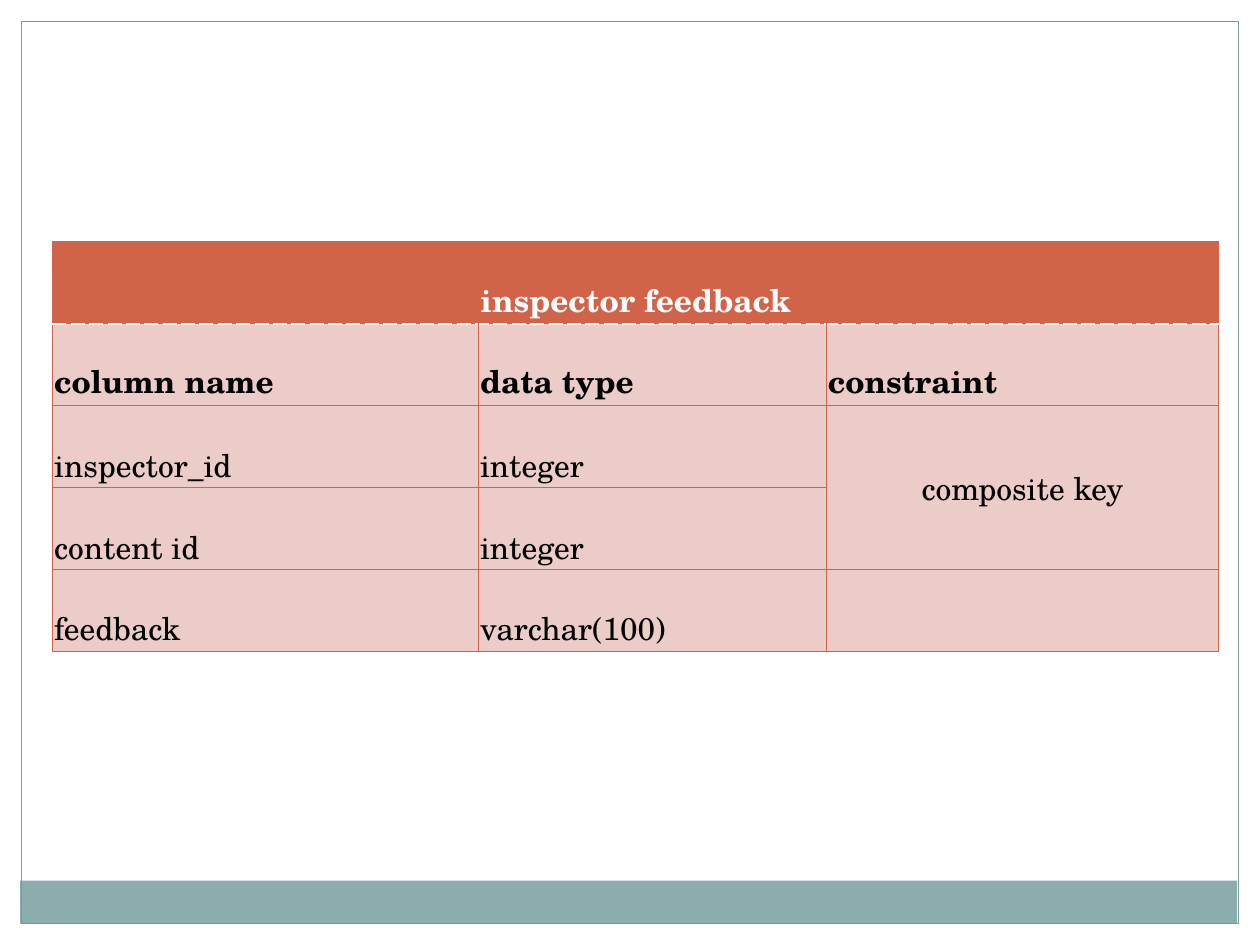
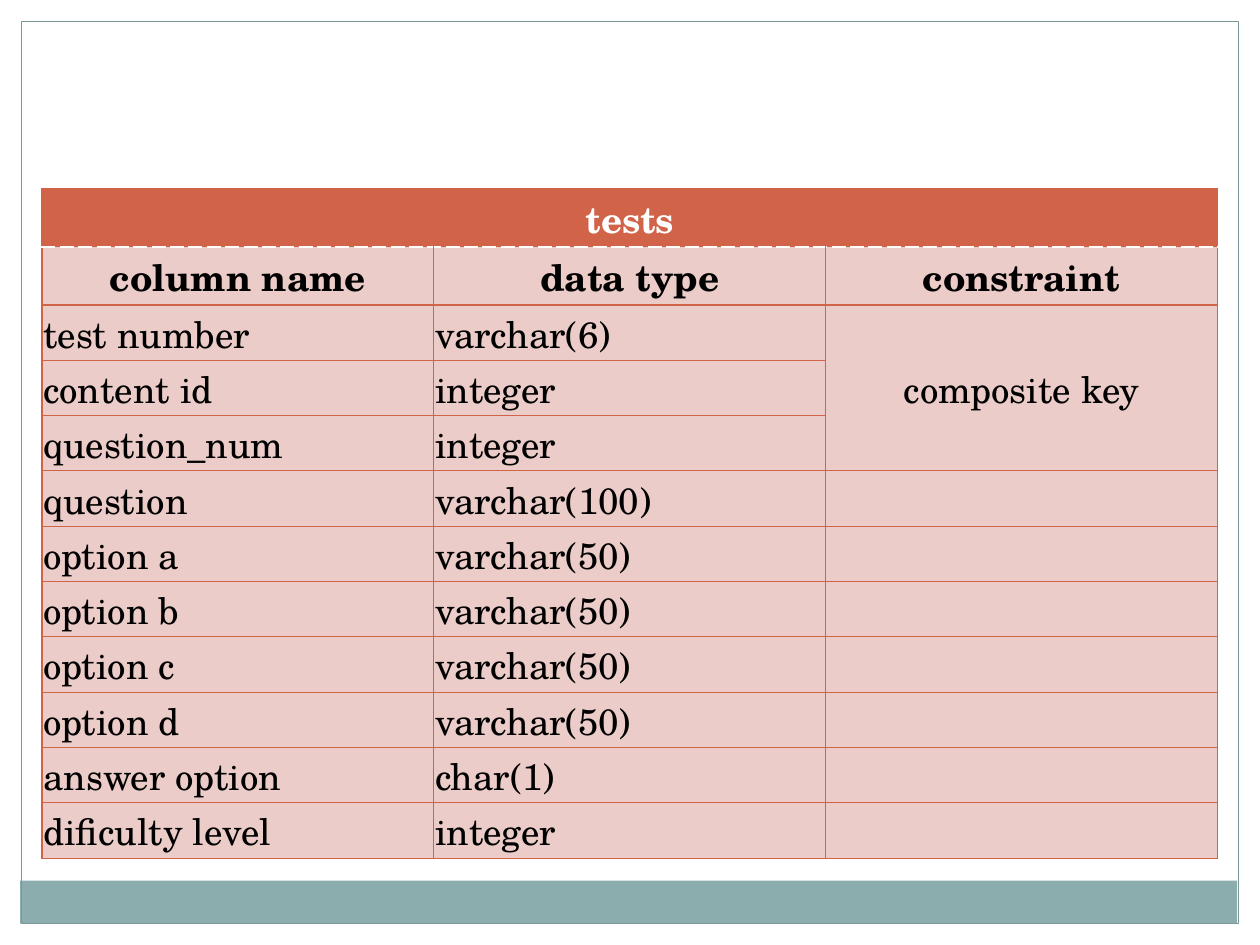
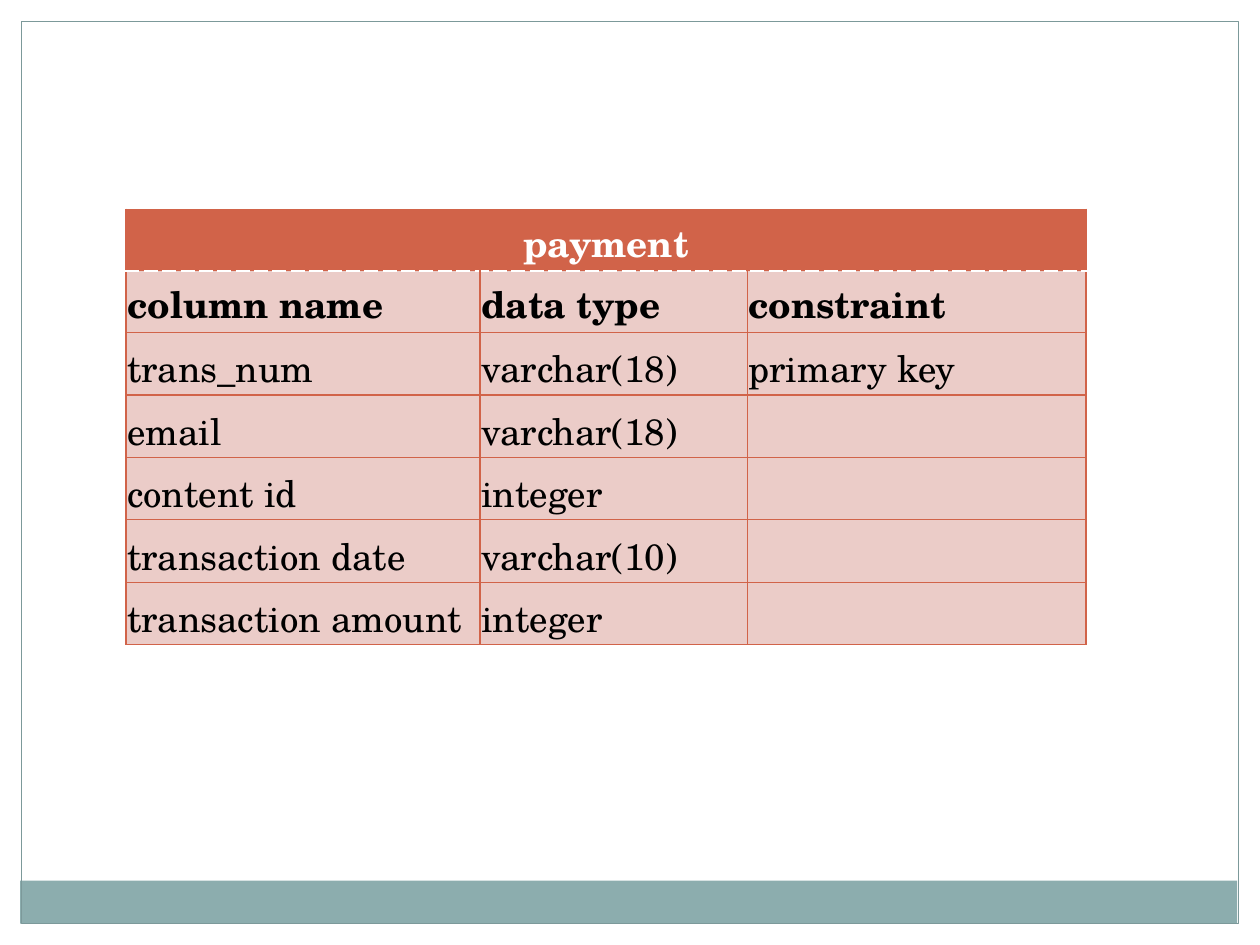
"""Build three slides that describe database tables: feedback, tests and payment."""
from lxml.etree import SubElement as Sub
from pptx import Presentation
from pptx.dml.color import RGBColor
from pptx.enum.shapes import MSO_SHAPE as Shape
from pptx.enum.text import MSO_ANCHOR as Anchor, PP_ALIGN as Align
from pptx.oxml.ns import qn
from pptx.util import Inches, Pt

FONT = "TeX Gyre Schola"
RED, PINK, WHITE, BLACK = "D16349", "EBCCC8", "FFFFFF", "000000"
TEAL, EDGE = "8CADAE", "7C999A"
HEADS = ("column name", "data type", "constraint")
PADS = {"margin_left": Inches(0.01), "margin_right": Inches(0.01),
        "margin_top": Inches(0.01), "margin_bottom": 0}
SOLID = (RED, 0.75, "solid")
DASH = (WHITE, 0.9, "sysDash")
BANDS = [
    ((0, 0, 10, 0.17), WHITE, None),
    ((9.83, 0, 0.17, 7.5), WHITE, None),
    ((0, 0, 0.17, 7.5), WHITE, None),
    ((0.16, 6.99, 9.66, 0.34), TEAL, None),
    ((0.17, 0.17, 9.66, 7.16), None, EDGE),
]

TABLES = [
    {"name": "inspector feedback", "at": (0.42, 1.92), "cols": (3.38, 2.76, 3.11),
     "tall": 3.25, "head": 0.65, "size": 18, "align": Align.LEFT, "key": 2,
     "rows": [("inspector_id", "integer", "composite key"),
              ("content id", "integer"),
              ("feedback", "varchar(100)")]},
    {"name": "tests", "at": (1 / 3, 1.5), "cols": (3.11, 3.11, 3.11),
     "tall": 5.31, "head": 0.46, "size": 21, "align": Align.CENTER, "key": 3,
     "rows": [("test number", "varchar(6)", "composite key"),
              ("content id", "integer"),
              ("question_num", "integer"),
              ("question", "varchar(100)"),
              ("option a", "varchar(50)"),
              ("option b", "varchar(50)"),
              ("option c", "varchar(50)"),
              ("option d", "varchar(50)"),
              ("answer option", "char(1)"),
              ("dificulty level", "integer")]},
    {"name": "payment", "at": (1, 1.66), "cols": (2.81, 2.12, 2.69),
     "tall": 3.46, "head": 0.49, "size": 21, "align": Align.LEFT, "key": 1,
     "rows": [("trans_num", "varchar(18)", "primary key"),
              ("email", "varchar(18)"),
              ("content id", "integer"),
              ("transaction date", "varchar(10)"),
              ("transaction amount", "integer")]},
]


def paint(fill, color):
    fill.solid()
    fill.fore_color.rgb = RGBColor.from_string(color)


def add_box(slide, at, fill, line):
    box = slide.shapes.add_shape(Shape.RECTANGLE, *map(Inches, at))
    box.shadow.inherit = False
    for part, color in ((box.fill, fill), (box.line.fill, line)):
        if color:
            paint(part, color)
        else:
            part.background()
    if line:
        box.line.width = Pt(0.75)


def add_edge(cell, side, color, width, dash):
    line = Sub(cell._tc.get_or_add_tcPr(), qn("a:ln" + side), w=str(Pt(width)))
    Sub(Sub(line, qn("a:solidFill")), qn("a:srgbClr"), val=color)
    Sub(line, qn("a:prstDash"), val=dash)


def style_cell(cell, row):
    edges = {"L": SOLID, "R": SOLID,
             "T": DASH if row == 1 else SOLID,
             "B": DASH if row == 0 else SOLID}
    for side, edge in edges.items():
        add_edge(cell, side, *edge)
    paint(cell.fill, PINK if row else RED)
    cell.vertical_anchor = Anchor.BOTTOM
    for name, value in PADS.items():
        setattr(cell, name, value)


def write(cell, text, align, color, **form):
    para = cell.text_frame.paragraphs[0]
    para.alignment = align
    run = para.add_run()
    run.text = text
    for name, value in form.items():
        setattr(run.font, name, value)
    run.font.color.rgb = RGBColor.from_string(color)


def add_grid(slide, data):
    rows = [(data["name"],), HEADS, *data["rows"]]
    head, tall, count = data["head"], data["tall"], len(data["rows"])
    highs = [head] * 2 + [(tall - 2 * head) / count] * count
    size = sum(data["cols"]), tall
    grid = slide.shapes.add_table(len(rows), len(HEADS), *map(Inches, data["at"] + size)).table
    for col, width in zip(grid.columns, data["cols"]):
        col.width = Inches(width)
    for r, (texts, high) in enumerate(zip(rows, highs)):
        grid.rows[r].height = Inches(high)
        for cell in grid.rows[r].cells:
            style_cell(cell, r)
        align = {0: Align.CENTER, 1: data["align"]}.get(r, Align.LEFT)
        for c, text in enumerate(texts):
            joined = r == 2 and c == 2 and data["key"] > 1
            write(grid.cell(r, c), text, Align.CENTER if joined else align,
                  BLACK if r else WHITE, size=Pt(data["size"]), name=FONT, bold=r < 2)
    grid.cell(0, 0).merge(grid.cell(0, 2))
    if data["key"] > 1:
        grid.cell(2, 2).merge(grid.cell(1 + data["key"], 2))
        grid.cell(2, 2).vertical_anchor = Anchor.MIDDLE


def main():
    deck = Presentation()
    deck.slide_width, deck.slide_height = Inches(10), Inches(7.5)
    for data in TABLES:
        slide = deck.slides.add_slide(deck.slide_layouts[6])
        paint(slide.background.fill, WHITE)
        for band in BANDS:
            add_box(slide, *band)
        add_grid(slide, data)
    deck.save("out.pptx")


if __name__ == "__main__":
    main()
